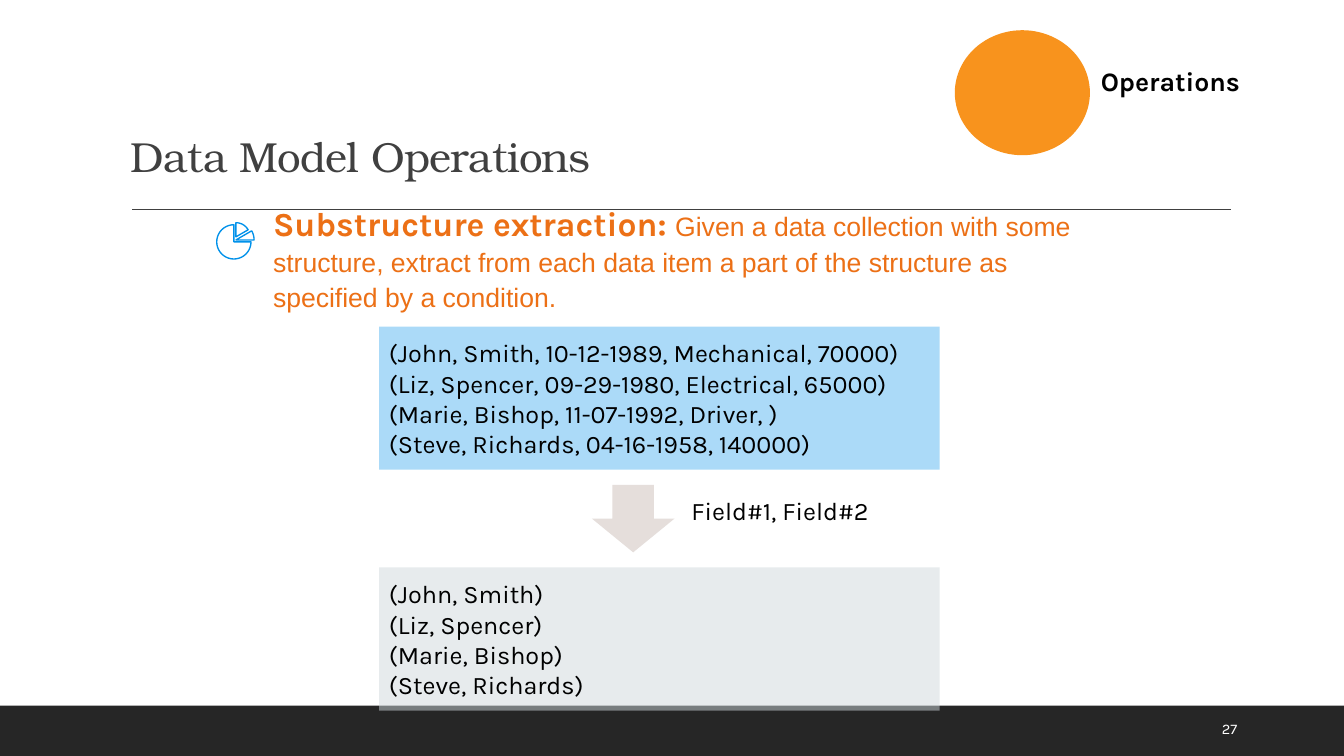
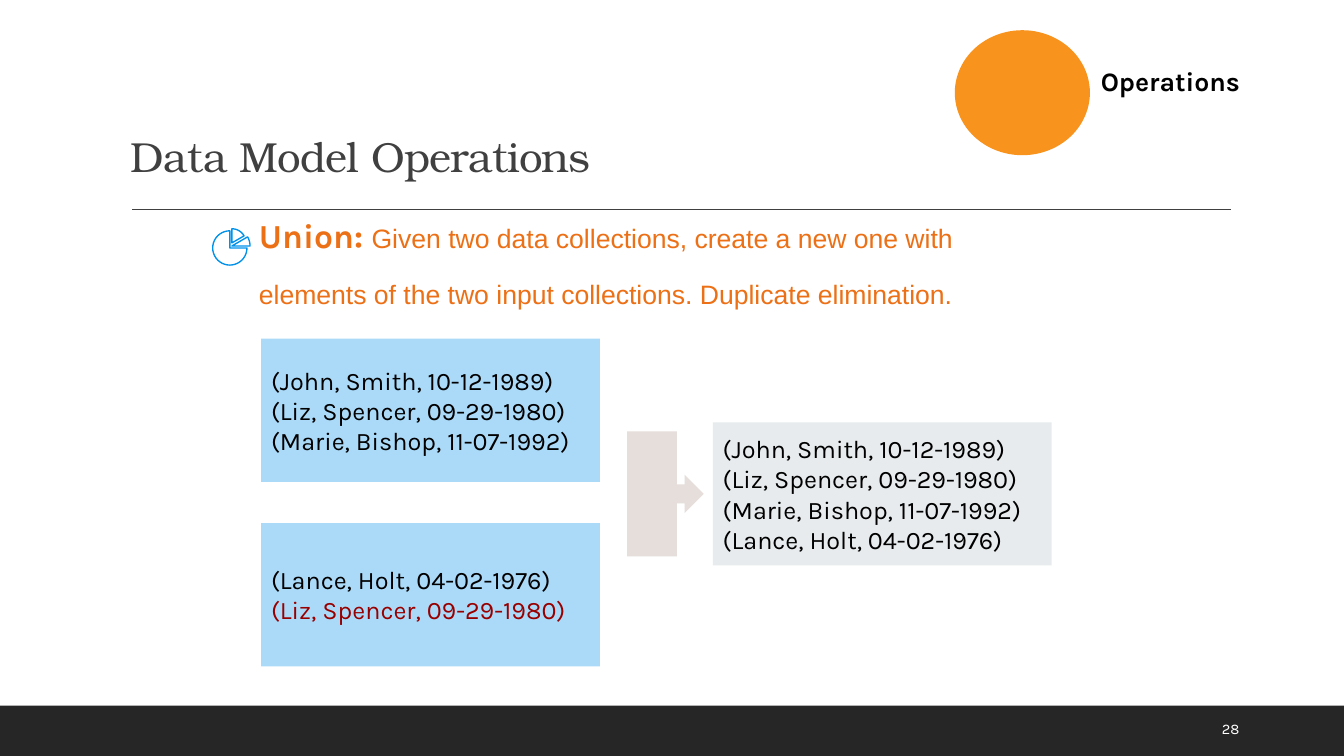
from math import cos, radians, sin
from typing import NamedTuple

from lxml.etree import SubElement
from pptx import Presentation
from pptx.dml.color import RGBColor
from pptx.enum.shapes import MSO_CONNECTOR, MSO_SHAPE as Preset
from pptx.enum.text import MSO_ANCHOR as Anchor
from pptx.oxml.ns import qn
from pptx.util import Pt

PX = 9144  # EMU in one px, 100 px to the inch
SLIDE_WIDTH, SLIDE_HEIGHT = 1333, 750
INSET = 10

# Colours
CHARCOAL = RGBColor(0x26, 0x26, 0x26)
GREY = RGBColor(0x40, 0x40, 0x40)
BLACK = RGBColor(0, 0, 0)
WHITE = RGBColor(0xFF, 0xFF, 0xFF)
ORANGE = RGBColor(0xEC, 0x70, 0x16)
AMBER = RGBColor(0xF8, 0x93, 0x1D)
BLUE = RGBColor(0x00, 0x91, 0xEA)
MIST = RGBColor(0xCF, 0xD8, 0xDC)
SAND = RGBColor(0xE5, 0xDE, 0xDB)
RED = RGBColor(0x98, 0, 0)


class Style(NamedTuple):
    font: str
    size: float
    color: RGBColor
    bold: bool = False
    tracking: int = 0  # hundredths of a point


TITLE = Style("TeX Gyre Bonum", 30, GREY, tracking=-50)
TERM = Style("Karla", 24, ORANGE, bold=True)
DEFINITION = Style("Arial", 19, ORANGE)
TOPIC = Style("Karla", 19, BLACK, bold=True)
RECORD = Style("Karla", 18, BLACK)
DUPLICATE = Style("Karla", 18, RED)
PAGE = Style("Karla", 10.5, WHITE)

BODY_SPACING = {"line": 1.1, "before": 12, "after": 2}
INPUT_FILL = (BLUE, 33)
OUTPUT_FILL = (MIST, 49)

# Content: paragraphs are lists of (text, style) runs, boxes are (left, top, width, height)
SLIDES = [
    {
        "page": "27",
        "icon": (232, 240),
        "body_box": (261, 187, 828, 170),
        "body": [[
            ("Substructure extraction: ", TERM),
            ("Given a data collection with some structure, extract from each data item "
             "a part of the structure as specified by a condition.", DEFINITION),
        ]],
        "collections": [
            ((376, 324, 556, 142), INPUT_FILL, [
                ("(John, Smith, 10-12-1989, Mechanical, 70000)", RECORD),
                ("(Liz, Spencer, 09-29-1980, Electrical, 65000)", RECORD),
                ("(Marie, Bishop, 11-07-1992, Driver, )", RECORD),
                ("(Steve, Richards, 04-16-1958, 140000)", RECORD),
            ]),
            ((376, 563, 556, 142), OUTPUT_FILL, [
                ("(John, Smith)", RECORD),
                ("(Liz, Spencer)", RECORD),
                ("(Marie, Bishop)", RECORD),
                ("(Steve, Richards)", RECORD),
            ]),
        ],
        "arrow": (Preset.DOWN_ARROW, (587, 481, 82, 67), (0.5, 0.5)),
        "arrow_label": ((676, 481, 203, 89), "Field#1, Field#2"),
    },
    {
        "page": "28",
        "icon": (228, 246),
        "body_box": (247, 199, 873, 86),
        "body": [
            [("Union: ", TERM),
             ("Given two data collections, create a new one with", DEFINITION)],
            [("elements of the two input collections. Duplicate elimination.", DEFINITION)],
        ],
        "collections": [
            ((259, 336, 336, 142), INPUT_FILL, [
                ("(John, Smith, 10-12-1989)", RECORD),
                ("(Liz, Spencer, 09-29-1980)", RECORD),
                ("(Marie, Bishop, 11-07-1992)", RECORD),
            ]),
            ((259, 519, 336, 142), INPUT_FILL, [
                ("(Lance, Holt, 04-02-1976)", RECORD),
                ("(Liz, Spencer, 09-29-1980)", DUPLICATE),
            ]),
            ((707, 419, 336, 142), OUTPUT_FILL, [
                ("(John, Smith, 10-12-1989)", RECORD),
                ("(Liz, Spencer, 09-29-1980)", RECORD),
                ("(Marie, Bishop, 11-07-1992)", RECORD),
                ("(Lance, Holt, 04-02-1976)", RECORD),
            ]),
        ],
        "arrow": (Preset.RIGHT_ARROW_CALLOUT, (622, 428, 76, 124), (0.25, 0.25, 0.25, 0.65)),
    },
]

# Pie icon: wedges as (dx, dy, radius, start, end), degrees clockwise from the top
WEDGES = [(0, 0, 17, 360, 90), (2, -5, 14, 0, 60), (2, -2, 18, 60, 90)]
ARC_STEPS = 30


def emu(lengths):
    return [length * PX for length in lengths]


def write(shape, paragraphs, anchor=Anchor.TOP, line=None, before=None, after=None):
    frame = shape.text_frame
    frame.word_wrap = True
    frame.vertical_anchor = anchor
    frame.margin_left = frame.margin_right = INSET * PX
    frame.margin_top = frame.margin_bottom = INSET * PX
    for index, runs in enumerate(paragraphs):
        paragraph = frame.add_paragraph() if index else frame.paragraphs[0]
        paragraph.line_spacing = line
        paragraph.space_before = None if before is None else Pt(before)
        paragraph.space_after = None if after is None else Pt(after)
        for text, style in runs:
            run = paragraph.add_run()
            run.text = text
            run.font.name = style.font
            run.font.size = Pt(style.size)
            run.font.bold = style.bold
            run.font.color.rgb = style.color
            if style.tracking:
                run._r.get_or_add_rPr().set("spc", str(style.tracking))


def add_text(slide, box, paragraphs, **layout):
    write(slide.shapes.add_textbox(*emu(box)), paragraphs, **layout)


def add_filled(slide, preset, box, color, opacity=100):
    shape = slide.shapes.add_shape(preset, *emu(box))
    shape.shadow.inherit = False
    shape.fill.solid()
    shape.fill.fore_color.rgb = color
    shape.line.fill.background()
    if opacity < 100:
        color_element = shape.fill._xPr.find(".//" + qn("a:srgbClr"))
        SubElement(color_element, qn("a:alpha")).set("val", str(opacity * 1000))
    return shape


def add_collection(slide, box, fill, records):
    shape = add_filled(slide, Preset.RECTANGLE, box, *fill)
    write(shape, [[record] for record in records], anchor=Anchor.MIDDLE)
    for paragraph in shape.text_frame.paragraphs:
        paragraph.alignment = 1  # left


def add_pie_icon(slide, center):
    for dx, dy, radius, start, end in WEDGES:
        x, y = center[0] + dx, center[1] + dy
        angles = [radians(start + (end - start) * step / ARC_STEPS)
                  for step in range(ARC_STEPS + 1)]
        arc = [emu((x + radius * sin(angle), y - radius * cos(angle))) for angle in angles]
        builder = slide.shapes.build_freeform(x * PX, y * PX)
        builder.add_line_segments(arc, close=True)
        wedge = builder.convert_to_shape()
        wedge.shadow.inherit = False
        wedge.fill.background()
        wedge.line.color.rgb = BLUE
        wedge.line.width = Pt(0.96)


def add_frame(slide, page):
    # Footer band, title rule, title, page number and topic marker
    add_filled(slide, Preset.RECTANGLE, (0, 700, SLIDE_WIDTH, 50), CHARCOAL)
    rule = slide.shapes.add_connector(MSO_CONNECTOR.STRAIGHT, *emu((131, 208, 1221, 208)))
    rule.line.color.rgb = GREY
    rule.line.width = Pt(1)
    SubElement(rule._element.spPr, qn("a:effectLst"))
    add_text(slide, (120, 31, 1100, 159), [[("Data Model Operations", TITLE)]],
             anchor=Anchor.BOTTOM, line=0.9)
    add_text(slide, (1202, 705, 85, 40), [[(page, PAGE)]])
    add_text(slide, (1082, 51, 178, 57), [[("Operations", TOPIC)]], **BODY_SPACING)
    add_filled(slide, Preset.OVAL, (947, 30, 134, 124), AMBER)


def add_operation(slide, content):
    add_text(slide, content["body_box"], content["body"], **BODY_SPACING)
    add_pie_icon(slide, content["icon"])
    for collection in content["collections"]:
        add_collection(slide, *collection)
    preset, box, adjustments = content["arrow"]
    arrow = add_filled(slide, preset, box, SAND)
    for index, value in enumerate(adjustments):
        arrow.adjustments[index] = value
    if "arrow_label" in content:
        label_box, label = content["arrow_label"]
        add_text(slide, label_box, [[(label, RECORD)]])


def main():
    presentation = Presentation()
    presentation.slide_width, presentation.slide_height = emu((SLIDE_WIDTH, SLIDE_HEIGHT))
    blank = presentation.slide_layouts[6]
    for content in SLIDES:
        slide = presentation.slides.add_slide(blank)
        add_frame(slide, content["page"])
        add_operation(slide, content)
    presentation.save("out.pptx")


if __name__ == "__main__":
    main()
